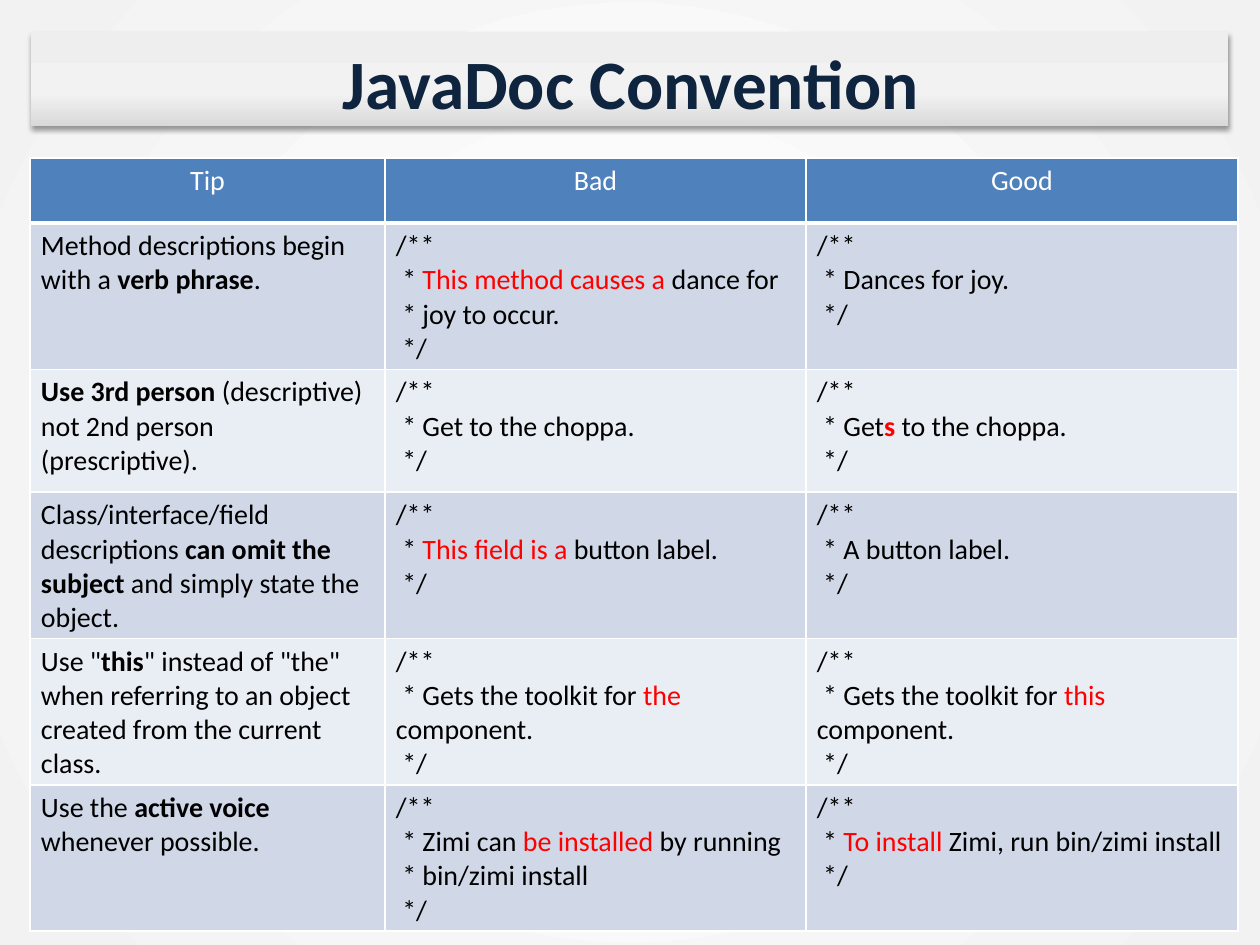
from dataclasses import dataclass

from pptx import Presentation
from pptx.dml.color import RGBColor
from pptx.enum.shapes import MSO_SHAPE as Shape
from pptx.enum.text import MSO_ANCHOR as Anchor, PP_ALIGN as Align
from pptx.oxml import parse_xml
from pptx.oxml.ns import nsdecls, qn
from pptx.util import Emu, Pt

PX_PER_INCH = 126
COLORS = {
    "white": "FFFFFF", "ink": "000000", "red": "FF0000", "navy": "0F243E",
    "header": "4F81BD", "odd": "D0D8E8", "even": "E9EDF4",
    "edge": "F2F2F2", "band_low": "D9D9D9", "band_high": "EEEEEE",
}


@dataclass
class Bit:
    text: str
    color: str = "ink"
    bold: bool = False


def bold(text, color="ink"):
    return Bit(text, color, True)


def red(text):
    return Bit(text, "red")


def doc(*lines):
    """Wrap lines, each a list of bits, in a JavaDoc comment."""
    return [["/**"], *([" * ", *line] for line in lines), [" */"]]


def px(length):
    return Emu(round(length * 914400 / PX_PER_INCH))


def set_gradient(fill, element, stops, direction):
    """Replace the default gradient in element with the given stops."""
    fill.gradient()
    default = element.find(".//" + qn("a:gradFill"))
    marks = "".join(
        f'<a:gs pos="{pos * 1000}"><a:srgbClr val="{COLORS[color]}"/></a:gs>'
        for pos, color in stops)
    default.getparent().replace(default, parse_xml(
        f'<a:gradFill {nsdecls("a")} rotWithShape="1">'
        f"<a:gsLst>{marks}</a:gsLst>{direction}</a:gradFill>"))


class SlideBuilder:
    font = "Calibri"
    body_size = 16
    title_size = 39.6

    def __init__(self, slide):
        self.slide = slide

    def background(self, stops):
        center = ('<a:path path="circle"><a:fillToRect l="50000" t="50000" '
                  'r="50000" b="50000"/></a:path>')
        set_gradient(self.slide.background.fill, self.slide.element, stops, center)

    def band(self, box, stops):
        band = self.slide.shapes.add_shape(Shape.ROUND_2_DIAG_RECTANGLE, *map(px, box))
        band.adjustments[0] = band.adjustments[1] = 0
        band.line.fill.background()
        set_gradient(band.fill, band.element, stops, '<a:lin ang="16200000" scaled="0"/>')
        band.shadow.inherit = False
        band.element.find(".//" + qn("a:effectLst")).append(parse_xml(
            f'<a:outerShdw {nsdecls("a")} blurRad="{Pt(3.1)}" dist="{Pt(1.6)}" '
            'dir="5400000" rotWithShape="0"><a:srgbClr val="000000">'
            '<a:alpha val="38000"/></a:srgbClr></a:outerShdw>'))

    def format_run(self, run, size, color, is_bold):
        run.font.name = self.font
        run.font.size = Pt(size)
        run.font.bold = is_bold
        run.font.color.rgb = RGBColor.from_string(COLORS[color])

    def title(self, box, text):
        frame = self.slide.shapes.add_textbox(*map(px, box)).text_frame
        frame.word_wrap = True
        frame.vertical_anchor = Anchor.MIDDLE
        frame.text = text
        heading = frame.paragraphs[0]
        heading.alignment = Align.CENTER
        self.format_run(heading.runs[0], self.title_size, "navy", True)

    def cell(self, cell, lines, fill, align, bottom_width):
        cell.fill.solid()
        cell.fill.fore_color.rgb = RGBColor.from_string(COLORS[fill])
        cell.margin_left = cell.margin_right = px(11)
        cell.margin_top = cell.margin_bottom = px(6)
        for i, line in enumerate(lines):
            frame = cell.text_frame
            paragraph = frame.add_paragraph() if i else frame.paragraphs[0]
            paragraph.alignment = align
            for part in line:
                bit = Bit(part) if isinstance(part, str) else part
                run = paragraph.add_run()
                run.text = bit.text
                self.format_run(run, self.body_size, bit.color, bit.bold)
        # Cell borders come before the fill
        properties = cell._tc.get_or_add_tcPr()
        for i, (side, width) in enumerate(zip("LRTB", (1, 1, 1, bottom_width))):
            properties.insert(i, parse_xml(
                f'<a:ln{side} {nsdecls("a")} w="{Pt(width)}"><a:solidFill>'
                f'<a:srgbClr val="{COLORS["white"]}"/></a:solidFill></a:ln{side}>'))

    def table(self, left, top, widths, heights, rows):
        table = self.slide.shapes.add_table(
            len(rows), len(widths), px(left), px(top),
            px(sum(widths)), px(sum(heights))).table
        for column, width in zip(table.columns, widths):
            column.width = px(width)
        for r, (height, row) in enumerate(zip(heights, rows)):
            table.rows[r].height = px(height)
            if r == 0:
                look = "header", Align.CENTER, 3
            else:
                look = "odd" if r % 2 else "even", Align.LEFT, 1
            for c, lines in enumerate(row):
                self.cell(table.cell(r, c), lines, *look)


HEADER = [[[Bit(name, "white")]] for name in ("Tip", "Bad", "Good")]
TIPS = [
    ([["Method descriptions begin with a ", bold("verb phrase"), "."]],
     doc([red("This method causes a "), "dance for"], ["joy to occur."]),
     doc(["Dances for joy."])),
    ([[bold("Use 3rd person"), " (descriptive) not 2nd person (prescriptive)."]],
     doc(["Get to the choppa."]),
     doc(["Get", bold("s", "red"), " to the choppa."])),
    ([["Class/interface/field descriptions ", bold("can omit the subject"),
       " and simply state the object."]],
     doc([red("This field is a "), "button label."]),
     doc(["A button label."])),
    ([['Use "', bold("this"), '" instead of "the" when referring to an object '
       "created from the current class."]],
     doc(["Gets the toolkit for ", red("the"), " component."]),
     doc(["Gets the toolkit for ", red("this"), " component."])),
    ([["Use the ", bold("active voice "), "whenever possible."]],
     doc(["Zimi can ", red("be installed "), "by running"], ["bin/zimi install"]),
     doc([red("To install "), "Zimi, run bin/zimi install"])),
]


def main():
    deck = Presentation()
    deck.slide_width, deck.slide_height = px(1260), px(945)
    builder = SlideBuilder(deck.slides.add_slide(deck.slide_layouts[6]))

    # Backdrop and title band
    builder.background([(6, "white"), (100, "edge")])
    builder.band((31, 32, 1197, 94),
                 [(0, "band_low"), (35, "edge"), (100, "band_high")])
    builder.title((53, 38, 1155, 88), "JavaDoc Convention")

    # Table of tips
    builder.table(30, 158, (355, 421, 432), (65, 145, 123, 145, 145, 145),
                  [HEADER, *TIPS])
    deck.save("out.pptx")


if __name__ == "__main__":
    main()
